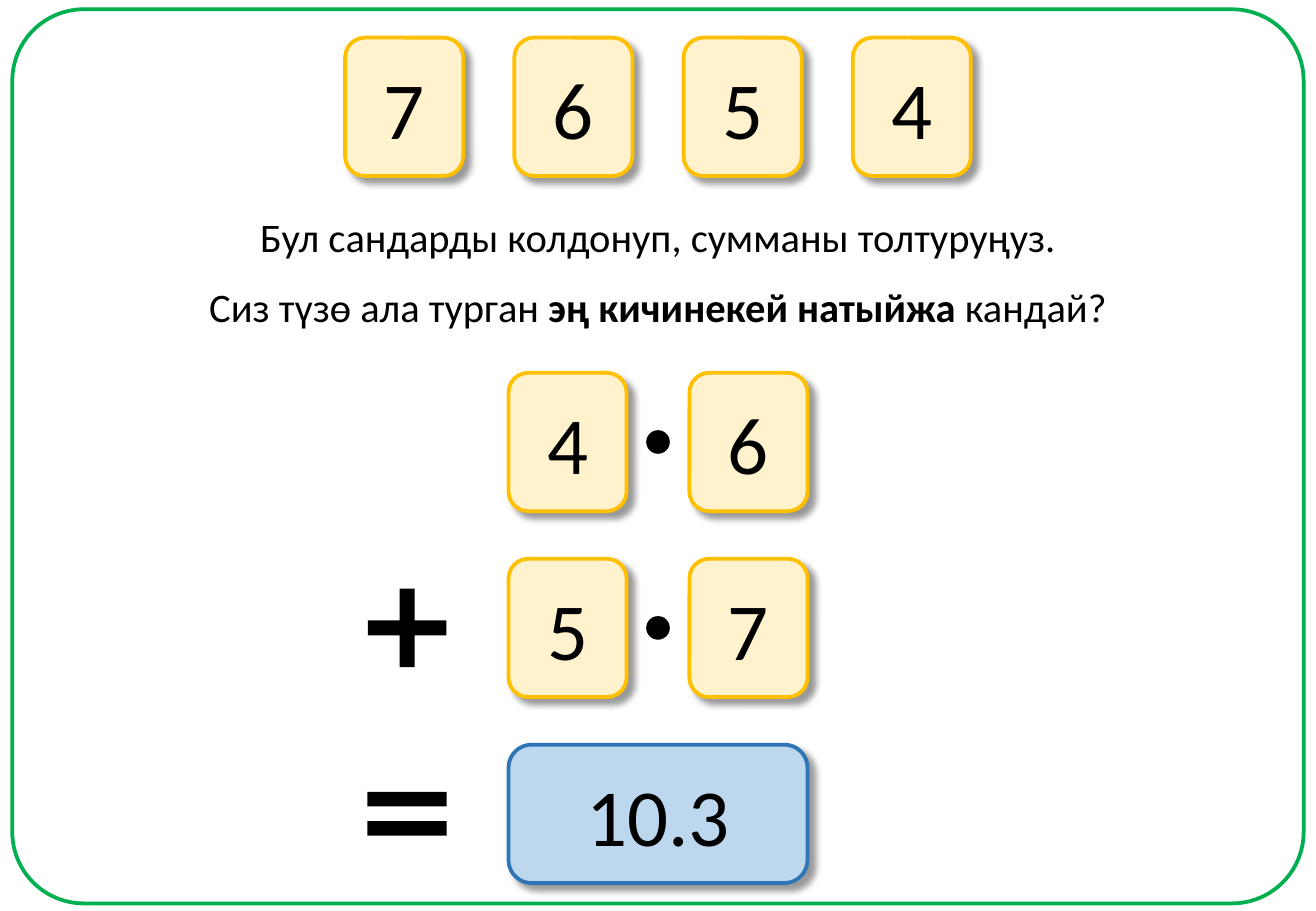
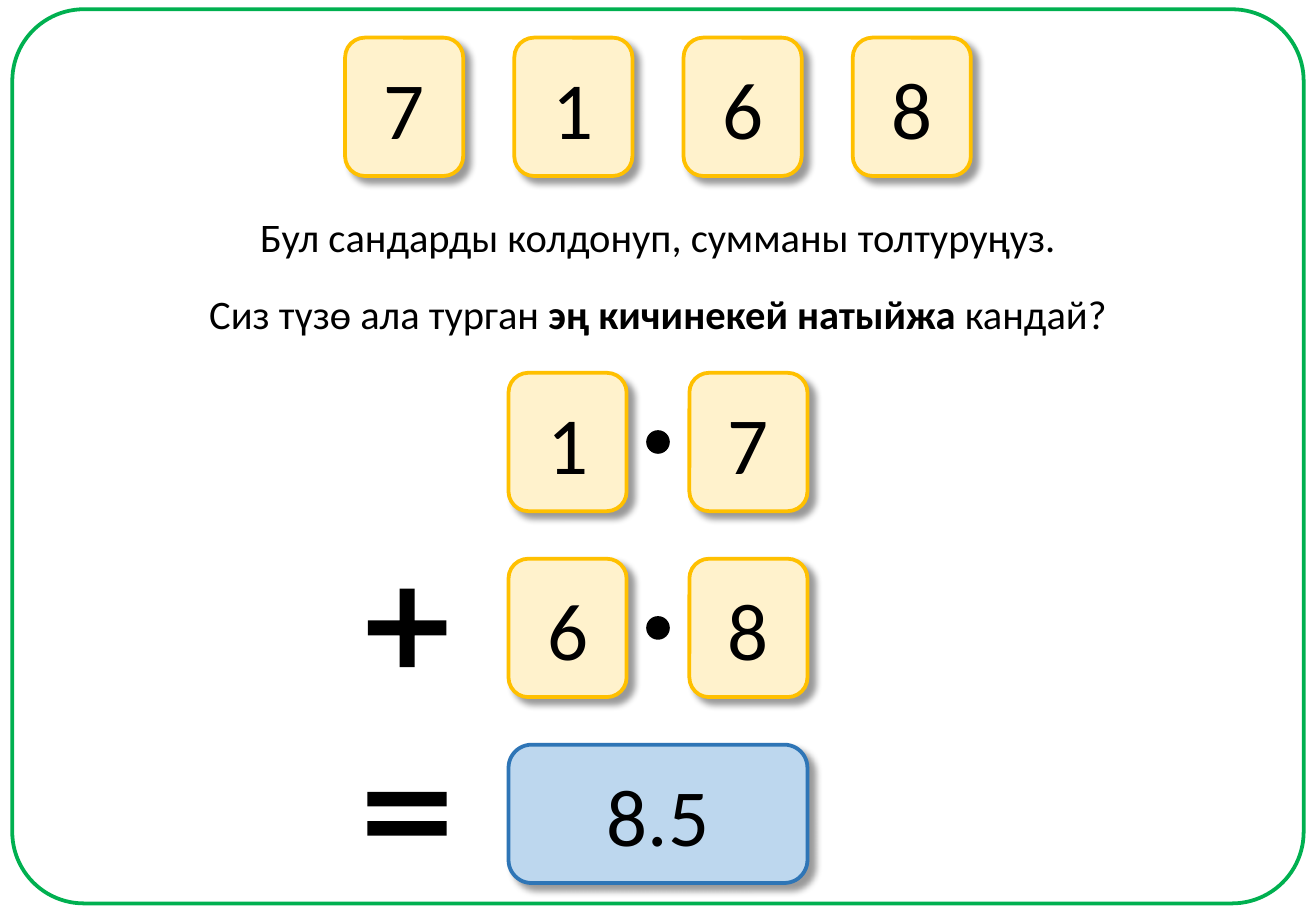
from lxml.etree import SubElement
from pptx import Presentation
from pptx.dml.color import RGBColor
from pptx.enum.shapes import MSO_SHAPE
from pptx.enum.text import MSO_ANCHOR, PP_ALIGN
from pptx.oxml.ns import qn
from pptx.util import Pt

TASK = [("Бул сандарды колдонуп, сумманы толтуруңуз.", False)]
ASK = [("Сиз түзө ала турган ", False), ("эң кичинекей натыйжа ", True), ("кандай?", False)]
SLIDES = [
    {"digits": "7654", "sum": ["46", "57"], "total": "10.3", "ask": 163.4},
    {"digits": "7168", "sum": ["17", "68"], "total": "8.5", "ask": 167.8},
]
COLORS = {"ink": "000000", "frame": "00B050", "card": "FFF2CC", "edge": "FFC000",
          "total": "BDD7EE", "rim": "2E75B6"}
FONT = "Calibri"
WIDE, HIGH = 780, 540
MID = WIDE / 2
CARD_W, CARD_H = 70, 82
DECK_Y, DECK_STEP = 22.3, 100.3
PAIR_STEP = 107.2
TOTAL_W = PAIR_STEP + CARD_W
ROWS = [221 + 110.2 * n for n in range(3)]
SIGN_X = 241.3


def color(name):
    return RGBColor.from_string(COLORS[name])


def shape(slide, kind, mid, top, wide, high, fill=None, line=None, weight=2.25, adjust=()):
    item = slide.shapes.add_shape(kind, Pt(mid - wide / 2), Pt(top), Pt(wide), Pt(high))
    item.shadow.inherit = False
    for n, value in enumerate(adjust):
        item.adjustments[n] = value
    if fill:
        item.fill.solid()
        item.fill.fore_color.rgb = color(fill)
    else:
        item.fill.background()
    if line:
        item.line.color.rgb = color(line)
        item.line.width = Pt(weight)
    else:
        item.line.fill.background()
    return item


def write(frame, runs, size):
    para = frame.paragraphs[0]
    para.alignment = PP_ALIGN.CENTER
    para.font.name = FONT
    para.font.size = Pt(size)
    para.font.color.rgb = color("ink")
    for text, bold in runs:
        run = para.add_run()
        run.text = text
        if bold:
            run.font.bold = True


def card(slide, text, mid, top, wide=CARD_W, fill="card", line="edge"):
    item = shape(slide, MSO_SHAPE.ROUNDED_RECTANGLE, mid, top, wide, CARD_H, fill, line)
    effects = item._element.spPr.find(qn("a:effectLst"))
    shade = SubElement(effects, qn("a:outerShdw"), blurRad=str(Pt(4)), dist=str(Pt(5)),
                       dir="2700000", algn="tl", rotWithShape="0")
    tint = SubElement(shade, qn("a:srgbClr"), val=COLORS["ink"])
    SubElement(tint, qn("a:alpha"), val="40000")
    item.text_frame.vertical_anchor = MSO_ANCHOR.MIDDLE
    write(item.text_frame, [(text, False)], 48)


def cards(slide, digits, top, step):
    for n, digit in enumerate(digits):
        card(slide, digit, MID + (n - (len(digits) - 1) / 2) * step, top)


def prompt(slide, runs, top):
    wide = 640
    box = slide.shapes.add_textbox(Pt(MID - wide / 2), Pt(top), Pt(wide), Pt(36))
    box.text_frame.word_wrap = True
    write(box.text_frame, runs, 24)


def center(slide, kind, mid, row, wide, high, **style):
    shape(slide, kind, mid, row + (CARD_H - high) / 2, wide, high, "ink", **style)


def build(deck, data):
    slide = deck.slides.add_slide(deck.slide_layouts[6])
    shape(slide, MSO_SHAPE.ROUNDED_RECTANGLE, MID, 5.5, 765.4, HIGH - 10,
          line="frame", adjust=[0.08])
    cards(slide, data["digits"], DECK_Y, DECK_STEP)
    prompt(slide, TASK, 122.4)
    prompt(slide, ASK, data["ask"])
    for pair, row in zip(data["sum"], ROWS):
        cards(slide, pair, row, PAIR_STEP)
        center(slide, MSO_SHAPE.OVAL, MID, row, 13, 13, line="ink", weight=1)
    center(slide, MSO_SHAPE.MATH_PLUS, SIGN_X, ROWS[1], 63.4, 63.4, adjust=[0.14])
    center(slide, MSO_SHAPE.MATH_EQUAL, SIGN_X, ROWS[2], 64, 72, adjust=[0.12, 0.12])
    card(slide, data["total"], MID, ROWS[2], TOTAL_W, "total", "rim")


def main():
    deck = Presentation()
    deck.slide_width, deck.slide_height = Pt(WIDE), Pt(HIGH)
    for data in SLIDES:
        build(deck, data)
    deck.save("out.pptx")


if __name__ == "__main__":
    main()
